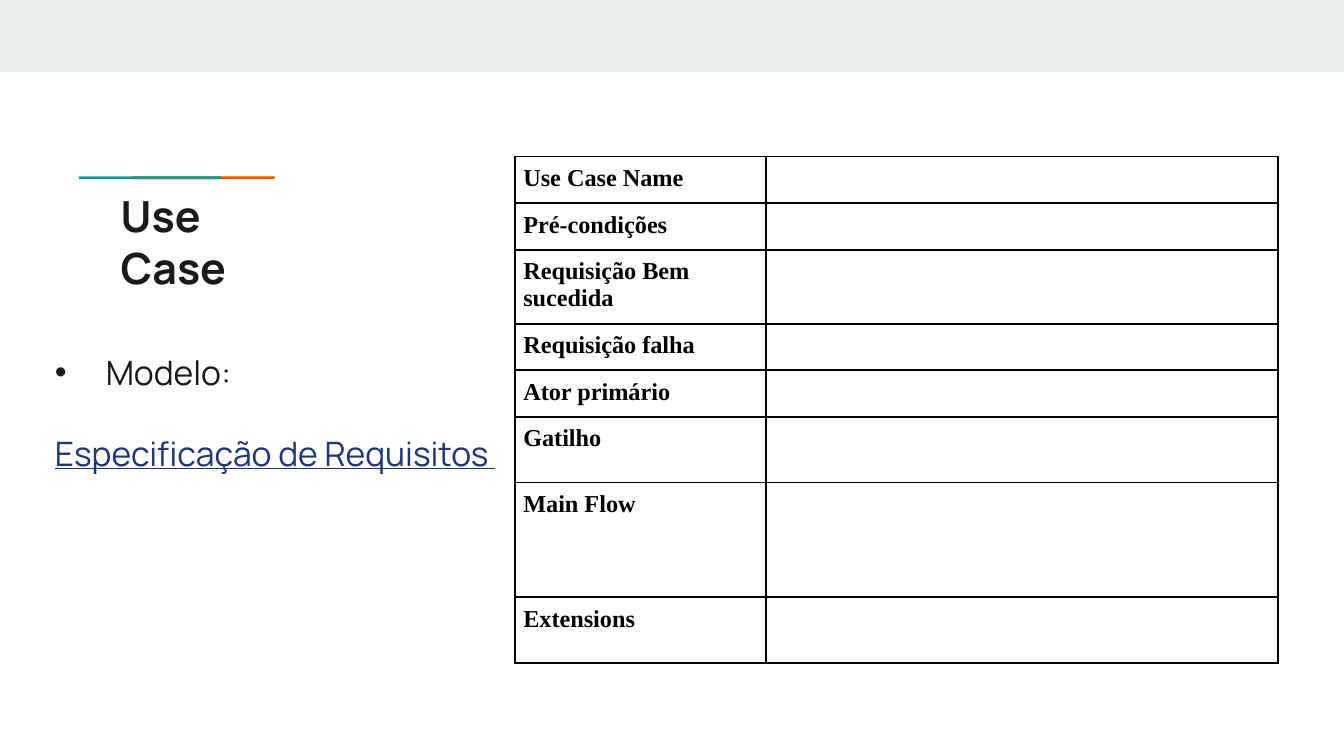
from lxml.etree import SubElement
from pptx import Presentation
from pptx.dml.color import RGBColor
from pptx.enum.shapes import MSO_SHAPE as Shape
from pptx.enum.text import MSO_ANCHOR as Anchor, MSO_AUTO_SIZE as AutoSize, PP_ALIGN as Align
from pptx.oxml.ns import qn
from pptx.util import Cm, Pt

INK = RGBColor(0x1A, 0x1A, 0x1A)
BLACK = RGBColor(0, 0, 0)
LINK = RGBColor(0x1C, 0x36, 0x78)
GREY = RGBColor(0xE9, 0xED, 0xEE)
TEAL = RGBColor(0x1A, 0x99, 0x88)
ORANGE = RGBColor(0xEB, 0x56, 0x00)

# Content
TITLE = "Use Case"
MODEL = "Modelo:"
DOCUMENT = "Especificação de Requisitos "
FIELDS = [  # label, row height in cm
    ("Use Case Name", 0.86),
    ("Pré-condições", 0.86),
    ("Requisição Bem sucedida", 1.4),
    ("Requisição falha", 0.86),
    ("Ator primário", 0.86),
    ("Gatilho", 1.24),
    ("Main Flow\u00a0", 2.17),
    ("Extensions", 1.24),
]
COLUMNS = (4.75, 9.67)
ACCENTS = [(3.78, ORANGE), (2.77, TEAL)]  # left in cm, colour

# Formats
TITLE_FONT = dict(name="Manrope", size=Pt(23), bold=True)
BODY_FONT = dict(name="Manrope", size=Pt(18))
LINK_FONT = dict(BODY_FONT, underline=True)
CELL_FONT = dict(name="Times New Roman", size=Pt(13), bold=True)


def apply(target, values):
    for name, value in values.items():
        setattr(target, name, value)


def margins(length):
    return {f"margin_{side}": length for side in ("left", "top", "right", "bottom")}


def write(para, text, font, colour):
    span = para.add_run()
    span.text = text
    apply(span.font, font)
    span.font.color.rgb = colour


def add_bar(shapes, place, colour):
    bar = shapes.add_shape(Shape.RECTANGLE, *map(Cm, place))
    bar.shadow.inherit = False
    bar.fill.solid()
    bar.fill.fore_color.rgb = colour
    bar.line.fill.background()
    return bar


def draw_borders(cell):
    props = cell._tc.get_or_add_tcPr()
    for side in ("lnL", "lnR", "lnT", "lnB"):
        line = SubElement(props, qn(f"a:{side}"), w=str(Pt(1)))
        fill = SubElement(line, qn("a:solidFill"))
        SubElement(fill, qn("a:srgbClr"), val=str(BLACK))


deck = Presentation()
deck.slide_width, deck.slide_height = Cm(25.4), Cm(14.29)
page = deck.slides.add_slide(deck.slide_layouts[5])
FRAME = dict(margins(Cm(0.25)), word_wrap=True, auto_size=AutoSize.NONE,
             vertical_anchor=Anchor.TOP)

# Header band
add_bar(page.shapes, (0, 0, 25.4, 1.36), GREY)

# Accent line: two turned bars in a group that is then flattened
accent = page.shapes.add_group_shape()
for left, colour in ACCENTS:
    add_bar(accent.shapes, (left, 2.84, 0.13, 2.69), colour).rotation = 270
apply(accent, dict(top=Cm(2.84), height=Cm(1.04)))

# Title
title = page.shapes.title
apply(title, dict(left=Cm(2.03), top=Cm(3.34), width=Cm(4.14), height=Cm(1.5)))
apply(title.text_frame, FRAME)
para = title.text_frame.paragraphs[0]
para.alignment = Align.LEFT
write(para, TITLE, TITLE_FONT, INK)

# Field table
height = sum(row_height for _, row_height in FIELDS)
table = page.shapes.add_table(len(FIELDS), len(COLUMNS), Cm(9.73), Cm(2.96),
                              Cm(sum(COLUMNS)), Cm(height)).table
apply(table, dict(first_row=False, horz_banding=False))
for column, width in zip(table.columns, COLUMNS):
    column.width = Cm(width)
for row, (label, row_height) in zip(table.rows, FIELDS):
    row.height = Cm(row_height)
    for cell, text in zip(row.cells, (label, "")):
        apply(cell, margins(Cm(0.16)))
        draw_borders(cell)
        cell.fill.background()
        para = cell.text_frame.paragraphs[0]
        if text:
            write(para, text, CELL_FONT, BLACK)
        else:
            para._p.get_or_add_endParaRPr().set("sz", "1300")

# Model text
box = page.shapes.add_textbox(Cm(0.79), Cm(6.4), Cm(8.94), Cm(5.89))
apply(box.text_frame, FRAME)
bullet = box.text_frame.paragraphs[0]
write(bullet, MODEL, BODY_FONT, INK)
props = bullet._p.get_or_add_pPr()
props.set("marL", str(Cm(0.96)))
props.set("indent", str(-Cm(0.96)))
SubElement(props, qn("a:buFont"), typeface="Arial")
SubElement(props, qn("a:buChar"), char="•")
para = box.text_frame.add_paragraph()
para.space_before = Pt(22)
write(para, DOCUMENT, LINK_FONT, LINK)

deck.save("out.pptx")
